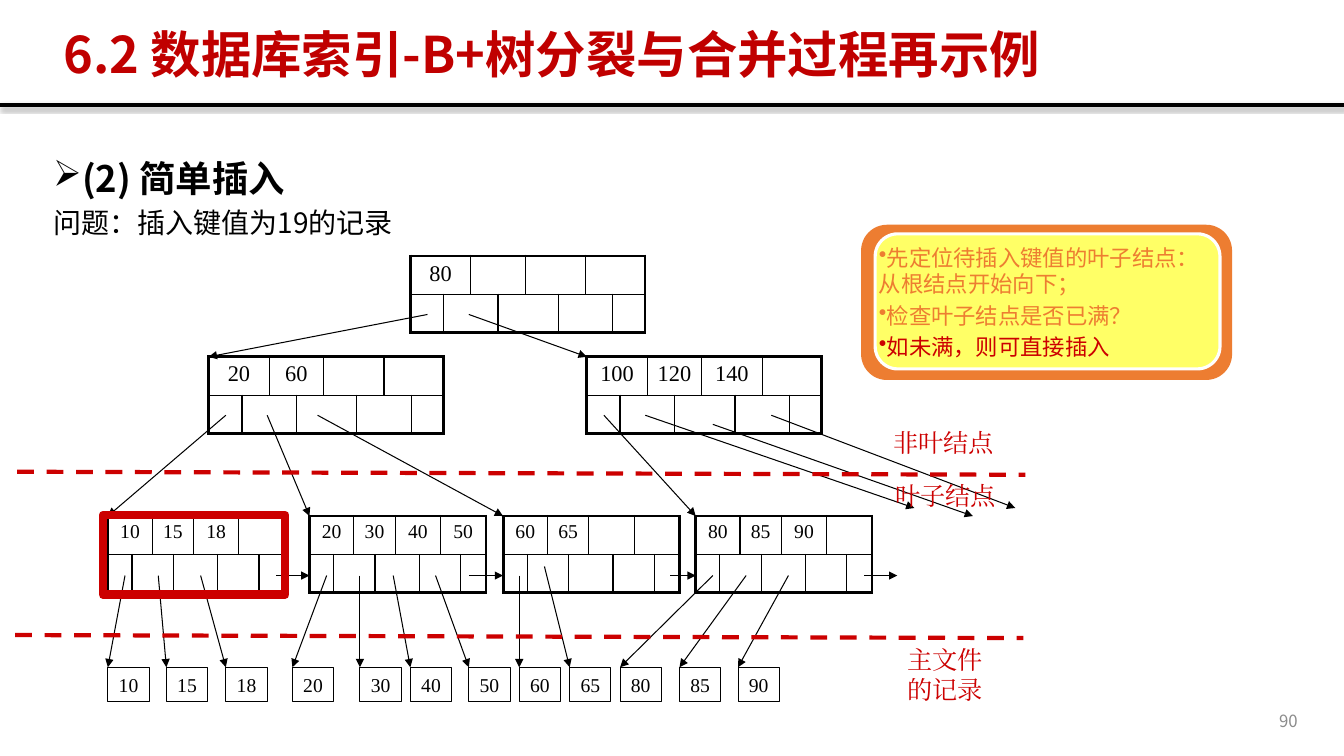
from dataclasses import dataclass

from lxml import etree
from pptx import Presentation
from pptx.dml.color import RGBColor
from pptx.enum.dml import MSO_LINE
from pptx.enum.shapes import MSO_CONNECTOR, MSO_SHAPE
from pptx.enum.text import MSO_ANCHOR, PP_ALIGN
from pptx.oxml.ns import qn
from pptx.util import Pt

PX = 9144
RECT, ROUNDED = MSO_SHAPE.RECTANGLE, MSO_SHAPE.ROUNDED_RECTANGLE
STRAIGHT, DASH = MSO_CONNECTOR.STRAIGHT, MSO_LINE.DASH
TOP, MIDDLE = MSO_ANCHOR.TOP, MSO_ANCHOR.MIDDLE
LEFT, CENTER, RIGHT = PP_ALIGN.LEFT, PP_ALIGN.CENTER, PP_ALIGN.RIGHT


@dataclass(frozen=True)
class Theme:
    """Colours, fonts and type sizes of the slide."""
    black: str = "000000"
    title_red: str = "C00000"
    red: str = "CC0000"
    orange: str = "ED7D31"
    yellow: str = "FFFF66"
    white: str = "FFFFFF"
    gray: str = "8C8C8C"
    heading_font: str = "Noto Sans CJK SC"
    tree_font: str = "Times New Roman"
    callout_font: str = "Arial"
    title: int = 36
    heading: int = 26
    question: int = 20
    label: int = 18
    inner_key: int = 16
    leaf_key: int = 14
    callout: int = 16
    page: int = 12
    thin: float = 0.75
    cell: float = 1
    frame: float = 2.25
    heavy: float = 3
    highlight: float = 6


THEME = Theme()
ROW_HEIGHT = 38
INNER_COLUMNS = (33, 27, 27, 27, 33, 27, 27, 32)
LEAF_COLUMNS = (24, 20, 21, 20, 24, 21, 20, 25)
KEY_SPANS = ((0, 1), (2, 3), (4, 5), (6, 7))
POINTER_SPANS = ((0, 0), (1, 2), (3, 4), (5, 6), (7, 7))
INNER_NODES = ((407, 254, ("80",)), (207, 354, ("20", "60")), (582, 354, ("100", "120", "140")))
LEAF_TOP = 512
LEAVES = ((107, ("10", "15", "18")), (307, ("20", "30", "40", "50")),
          (499, ("60", "65")), (690, ("80", "85", "90")))
POINTERS = (
    (424, 312, 207, 354), (465, 312, 582, 354), (224, 412, 107, 512),
    (265, 412, 307, 512), (315, 412, 499, 512), (599, 412, 690, 512),
    (640, 412, 907, 504), (707, 421, 965, 512), (765, 412, 1007, 504))
LEAF_LINKS = ((274, 307), (465, 499), (665, 690), (857, 890))
LINK_Y = 571
RECORD_TOP = 662
RECORDS = (
    ("10", 107, 124, 571), ("15", 165, 157, 571), ("18", 224, 199, 571),
    ("20", 290, 324, 571), ("30", 357, 357, 571), ("40", 407, 390, 571),
    ("50", 465, 432, 571), ("60", 515, 515, 571), ("65", 565, 540, 562),
    ("80", 615, 707, 571), ("85", 674, 740, 571), ("90", 732, 782, 571))
LEVEL_DIVIDERS = ((17, 468, 1017, 471), (15, 630, 1015, 633))
LEVEL_LABELS = (("非叶结点", 876, 419, 131, 43, False), ("叶子结点", 878, 472, 131, 43, False),
                ("主文件的记录", 890, 634, 112, 77, True))
INSERT_STEPS = (("先定位待插入键值的叶子结点：从根结点开始向下；", THEME.orange),
                ("检查叶子结点是否已满？", THEME.orange), ("如未满，则可直接插入", THEME.red))


def emu(*lengths):
    """Turn px lengths into EMU."""
    return [length * PX for length in lengths]


def write(frame, text, *, size, font, color, bold=False, align=LEFT, before=0, bullet=None, hang=0):
    """Append one formatted paragraph to a text frame."""
    first = frame.paragraphs[0]
    is_first = not first.runs
    paragraph = first if is_first else frame.add_paragraph()
    paragraph.alignment = align
    if bullet:
        properties = paragraph._p.get_or_add_pPr()
        properties.set("marL", str(hang * PX))
        properties.set("indent", str(-hang * PX))
        etree.SubElement(properties, qn("a:buChar"), char=bullet)
    if before and not is_first:
        paragraph.space_before = Pt(before)
    run = paragraph.add_run()
    run.text = text
    run.font.size, run.font.bold, run.font.name = Pt(size), bold, font
    run.font.color.rgb = RGBColor.from_string(color)
    latin = run._r.rPr.find(qn("a:latin"))
    latin.addnext(latin.makeelement(qn("a:ea"), {"typeface": font}))


def add_text_area(slide, box, anchor=TOP, wrap=True, top_inset=5):
    """Add an empty text box and return its frame."""
    frame = slide.shapes.add_textbox(*emu(*box)).text_frame
    frame.word_wrap, frame.vertical_anchor = wrap, anchor
    frame.margin_top = top_inset * PX
    return frame


def add_block(shapes, kind, box, fill=None, line=None, width=THEME.thin):
    """Add a flat shape with an optional fill and outline."""
    block = shapes.add_shape(kind, *emu(*box))
    block.shadow.inherit = False
    if fill:
        block.fill.solid()
        block.fill.fore_color.rgb = RGBColor.from_string(fill)
    else:
        block.fill.background()
    if line:
        block.line.color.rgb = RGBColor.from_string(line)
        block.line.width = Pt(width)
    else:
        block.line.fill.background()
    return block


def add_line(slide, ends, color=THEME.black, width=THEME.thin, dash=None, arrow=False, shadow=False):
    """Add a straight line, optionally dashed, arrowed or shadowed."""
    line = slide.shapes.add_connector(STRAIGHT, *emu(*ends))
    line.line.color.rgb = RGBColor.from_string(color)
    line.line.width = Pt(width)
    if dash:
        line.line.dash_style = dash
    if arrow:
        etree.SubElement(line.line._get_or_add_ln(), qn("a:tailEnd"), type="triangle")
    effects = etree.SubElement(line._element.spPr, qn("a:effectLst"))
    if shadow:
        outer = etree.SubElement(effects, qn("a:outerShdw"), blurRad=str(Pt(3.1)),
                                 dist=str(Pt(1.8)), dir="5400000", rotWithShape="0")
        tint = etree.SubElement(outer, qn("a:srgbClr"), val=color)
        etree.SubElement(tint, qn("a:alpha"), val="35000")


def set_borders(cell, heavy_sides):
    """Draw the four borders of a cell, heavy on the given sides."""
    properties = cell._tc.get_or_add_tcPr()
    for side in "LRTB":
        width = THEME.frame if side in heavy_sides else THEME.cell
        border = etree.SubElement(properties, qn(f"a:ln{side}"), w=str(Pt(width)))
        fill = etree.SubElement(border, qn("a:solidFill"))
        etree.SubElement(fill, qn("a:srgbClr"), val=THEME.black)
    cell.fill.background()


def add_node(slide, left, top, columns, keys, size):
    """Add a tree node: a row of keys above a row of pointers."""
    box = emu(left, top, sum(columns), 2 * ROW_HEIGHT)
    node = slide.shapes.add_table(2, len(columns), *box).table
    node.first_row = node.horz_banding = False
    for column, width in zip(node.columns, columns):
        column.width = width * PX
    for row, spans in enumerate((KEY_SPANS, POINTER_SPANS)):
        node.rows[row].height = ROW_HEIGHT * PX
        for index, (first, last) in enumerate(spans):
            cell = node.cell(row, first)
            if last > first:
                cell.merge(node.cell(row, last))
            heavy = "TB"[row] + ("L" if first == 0 else "") + ("R" if last == len(columns) - 1 else "")
            for position in range(first, last + 1):
                part = node.cell(row, position)
                part.margin_left = part.margin_right = part.margin_top = part.margin_bottom = 0
                set_borders(part, heavy)
            if row == 0 and index < len(keys):
                cell.margin_top = 5 * PX
                write(cell.text_frame, keys[index], size=size, font=THEME.tree_font,
                      color=THEME.black, align=CENTER)


def add_record(slide, key, left, pointer_x, pointer_y):
    """Add a record of the main file and the arrow that leads to it."""
    frame = add_block(slide.shapes, RECT, (left, RECORD_TOP, 41, 34), line=THEME.black).text_frame
    frame.word_wrap, frame.vertical_anchor = False, MIDDLE
    write(frame, key, size=THEME.leaf_key, font=THEME.tree_font, color=THEME.black, align=CENTER)
    add_line(slide, (pointer_x, pointer_y, left, RECORD_TOP), arrow=True)


def add_callout(slide):
    """Add the grouped panel with the insertion steps."""
    shapes = slide.shapes.add_group_shape().shapes
    add_block(shapes, ROUNDED, (854, 223, 368, 154), fill=THEME.orange)
    add_block(shapes, ROUNDED, (868, 232, 342, 134), THEME.yellow, THEME.white, THEME.frame)
    frame = add_block(shapes, ROUNDED, (855, 230, 367, 140)).text_frame
    frame.word_wrap, frame.vertical_anchor = True, TOP
    for step, color in INSERT_STEPS:
        write(frame, step, size=THEME.callout, font=THEME.callout_font, color=color, before=3.2, bullet="•")


def main():
    """Build the slide and save it."""
    deck = Presentation()
    deck.slide_width, deck.slide_height = emu(1333, 750)
    slide = deck.slides.add_slide(deck.slide_layouts[6])
    add_line(slide, (0, 104, 1333, 104), width=THEME.heavy, shadow=True)
    body = add_text_area(slide, (43, 133, 1254, 554), top_inset=22)
    write(body, "(2) 简单插入", size=THEME.heading, font=THEME.heading_font, color=THEME.black,
          bold=True, bullet="➢", hang=25)
    write(body, "问题：插入键值为19的记录", size=THEME.question, font=THEME.heading_font,
          color=THEME.black, before=4)
    write(add_text_area(slide, (53, 20, 1170, 65), MIDDLE), "6.2 数据库索引-B+树分裂与合并过程再示例",
          size=THEME.title, font=THEME.heading_font, color=THEME.title_red, bold=True)
    for left, top, keys in INNER_NODES:
        add_node(slide, left, top, INNER_COLUMNS, keys, THEME.inner_key)
    for left, keys in LEAVES:
        add_node(slide, left, LEAF_TOP, LEAF_COLUMNS, keys, THEME.leaf_key)
    for ends in POINTERS:
        add_line(slide, ends, arrow=True)
    for start, end in LEAF_LINKS:
        add_line(slide, (start, LINK_Y, end, LINK_Y), arrow=True)
    for record in RECORDS:
        add_record(slide, *record)
    for ends in LEVEL_DIVIDERS:
        add_line(slide, ends, THEME.red, THEME.heavy, DASH)
    for label, *box, wrap in LEVEL_LABELS:
        write(add_text_area(slide, box, wrap=wrap), label, size=THEME.label,
              font=THEME.tree_font, color=THEME.red)
    add_block(slide.shapes, RECT, (102, 511, 181, 79), line=THEME.red, width=THEME.highlight)
    add_callout(slide)
    write(add_text_area(slide, (997, 695, 300, 40), MIDDLE), "90", size=THEME.page,
          font=THEME.heading_font, color=THEME.gray, align=RIGHT)
    deck.save("out.pptx")


if __name__ == "__main__":
    main()
